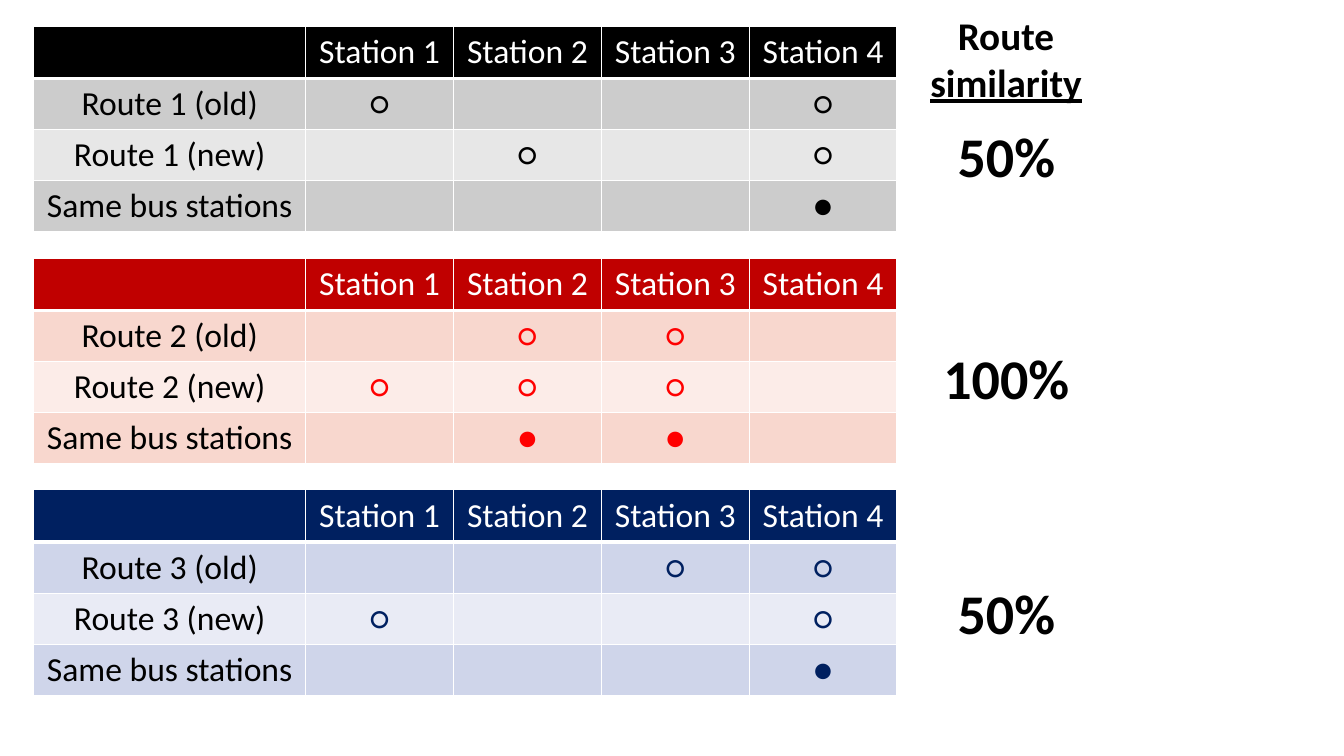
from dataclasses import dataclass

from lxml.etree import SubElement as Sub
from pptx import Presentation
from pptx.dml.color import RGBColor as Rgb
from pptx.enum.text import MSO_ANCHOR as Anchor, PP_ALIGN as Align
from pptx.oxml.ns import qn
from pptx.slide import Slide
from pptx.table import _Cell as Cell
from pptx.text.text import TextFrame as Frame
from pptx.util import Inches, Pt

# The slide is a grid of 40 columns by 30 rows
WIDTH, HEIGHT = Inches(13.33), Inches(7.5)
LEFT, TOP, PITCH = 1, 1.04, 9.2
COLS = [8.1] + [4.4] * 4
ROWS = [2.08] + [2] * 3
OPEN, FULL = "○", "●"

COLOURS = {
    "black": "000000", "white": "FFFFFF",
    "gray": "CCCCCC", "pale gray": "E7E7E7",
    "dark red": "C00000", "red": "FF0000",
    "pink": "F8D7CE", "pale pink": "FCECE8",
    "navy": "002060", "blue": "CFD5EA", "pale blue": "E9EBF5",
}


@dataclass
class Route:
    old: set[int]
    new: set[int]
    share: str
    top: float  # row of the share label
    head: str
    mark: str
    band: str
    pale: str


ROUTES = [
    Route({1, 4}, {2, 4}, "50%", 4.64, "black", "black", "gray", "pale gray"),
    Route({2, 3}, {1, 2, 3}, "100%", 13.44, "dark red", "red", "pink", "pale pink"),
    Route({3, 4}, {1, 4}, "50%", 22.76, "navy", "navy", "blue", "pale blue"),
]


def across(cols: float) -> int:
    return round(WIDTH * cols / 40)


def down(rows: float) -> int:
    return round(HEIGHT * rows / 30)


def colour(name: str) -> Rgb:
    return Rgb.from_string(COLOURS[name])


def write(frame: Frame, text: str, *, size: int = 24, tint: str = "black",
          bold: bool = False, under: bool = False) -> None:
    """Add a centred run to the frame's first paragraph."""
    para = frame.paragraphs[0]
    para.alignment = Align.CENTER
    run = para.add_run()
    run.text = text
    font = run.font
    font.name, font.size, font.bold = "Calibri", Pt(size), bold
    font.underline = under
    font.color.rgb = colour(tint)


def style(cell: Cell, fill: str, base: int) -> None:
    """Draw white borders, the lower one base points wide, then fill."""
    props = cell._tc.get_or_add_tcPr()
    for side in "LRTB":
        width = base if side == "B" else 1
        line = Sub(props, qn(f"a:ln{side}"), w=str(Pt(width)))
        Sub(Sub(line, qn("a:solidFill")), qn("a:srgbClr"), val=COLOURS["white"])
    cell.fill.solid()
    cell.fill.fore_color.rgb = colour(fill)
    cell.vertical_anchor = Anchor.MIDDLE


def draw_table(slide: Slide, num: int, route: Route) -> None:
    table = slide.shapes.add_table(
        len(ROWS), len(COLS), across(LEFT), down(TOP + PITCH * (num - 1)),
        across(sum(COLS)), down(sum(ROWS))).table
    table.first_row = table.horz_banding = False
    for col, width in zip(table.columns, COLS):
        col.width = across(width)
    for row, height in zip(table.rows, ROWS):
        row.height = down(height)

    # Header row
    for i in range(len(COLS)):
        cell = table.cell(0, i)
        style(cell, route.head, 3)
        if i:
            write(cell.text_frame, f"Station {i}", tint="white")

    # Stops of the old and new route, and those they share
    lines = [
        (f"Route {num} (old)", route.old, OPEN, route.band),
        (f"Route {num} (new)", route.new, OPEN, route.pale),
        ("Same bus stations", route.old & route.new, FULL, route.band),
    ]
    for r, (label, stops, sign, fill) in enumerate(lines, 1):
        for i in range(len(COLS)):
            cell = table.cell(r, i)
            style(cell, fill, 1)
            if i == 0:
                write(cell.text_frame, label)
            elif i in stops:
                write(cell.text_frame, sign, tint=route.mark)


def add_box(slide: Slide, left: float, top: float, wide: float, high: float) -> Frame:
    frame = slide.shapes.add_textbox(
        across(left), down(top), across(wide), down(high)).text_frame
    frame.word_wrap = True
    return frame


def main() -> None:
    deck = Presentation()
    deck.slide_width, deck.slide_height = WIDTH, HEIGHT
    slide = deck.slides.add_slide(deck.slide_layouts[6])

    # Route tables
    for num, route in enumerate(ROUTES, 1):
        draw_table(slide, num, route)

    # Similarity column
    head = add_box(slide, 26.7, 0.24, 6.48, 4.16)
    write(head, "Route ", size=28, bold=True)
    write(head, "similarity", size=28, bold=True, under=True)
    for route in ROUTES:
        box = add_box(slide, 27.4, route.top, 5.1, 3.08)
        write(box, route.share, size=40, bold=True)

    deck.save("out.pptx")


if __name__ == "__main__":
    main()
